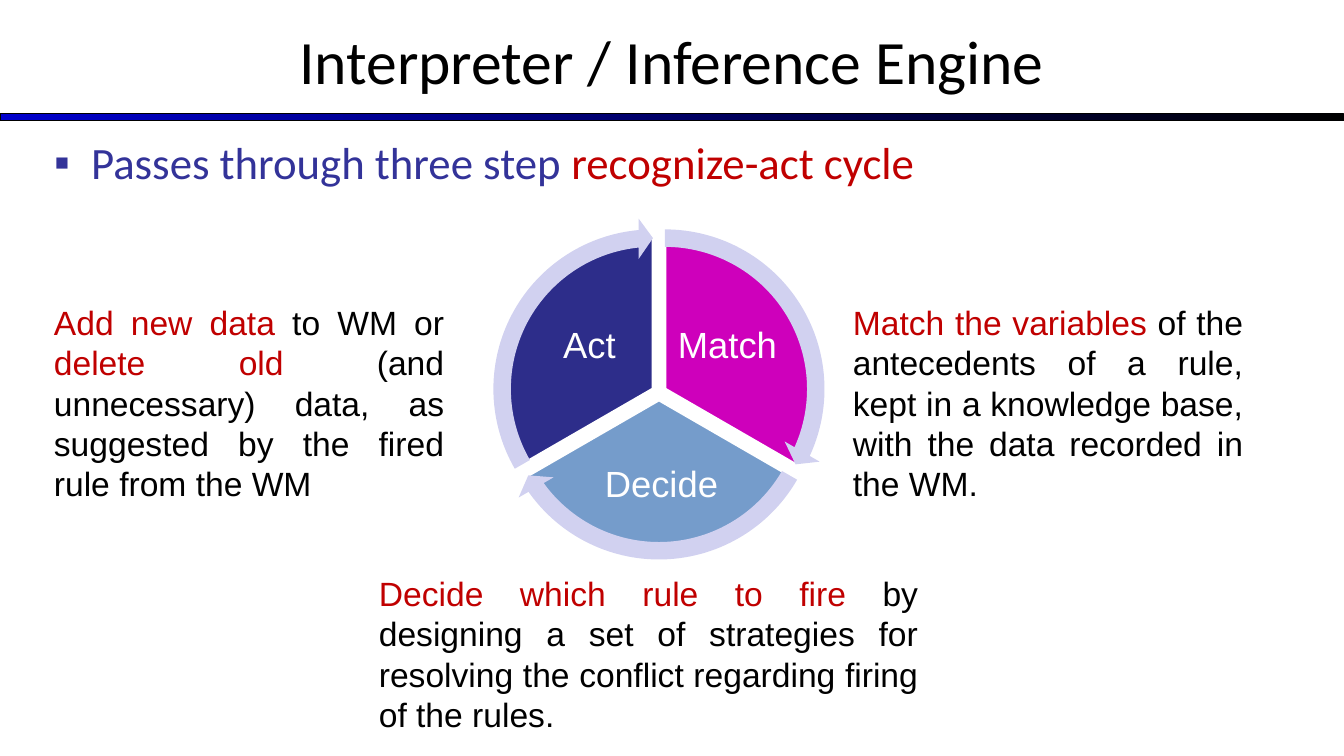
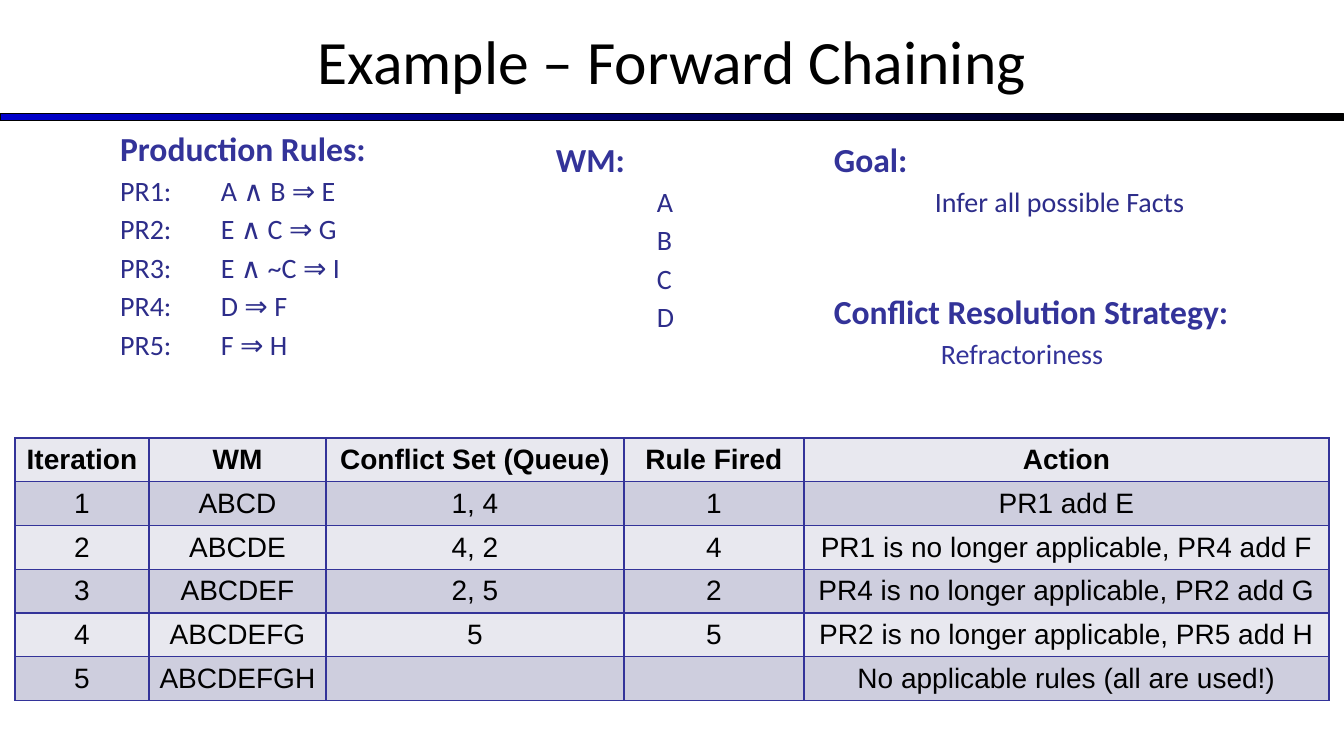
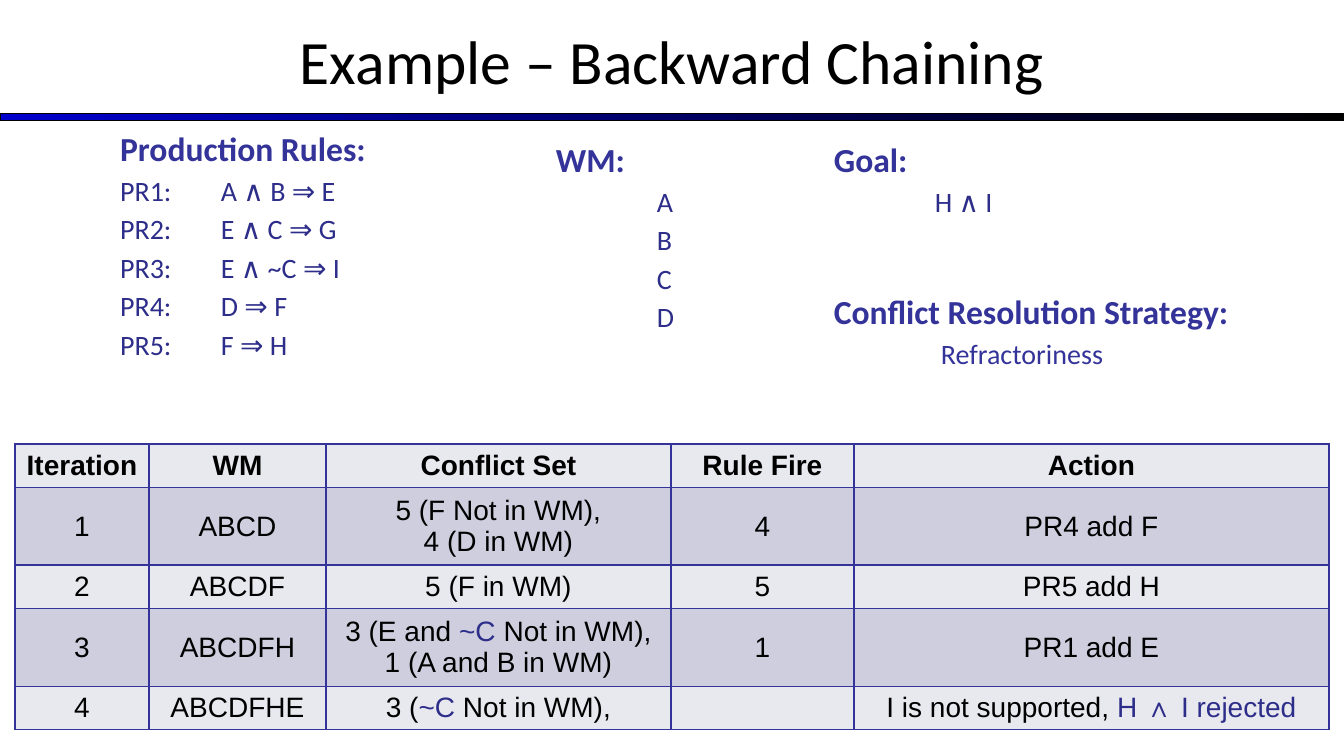
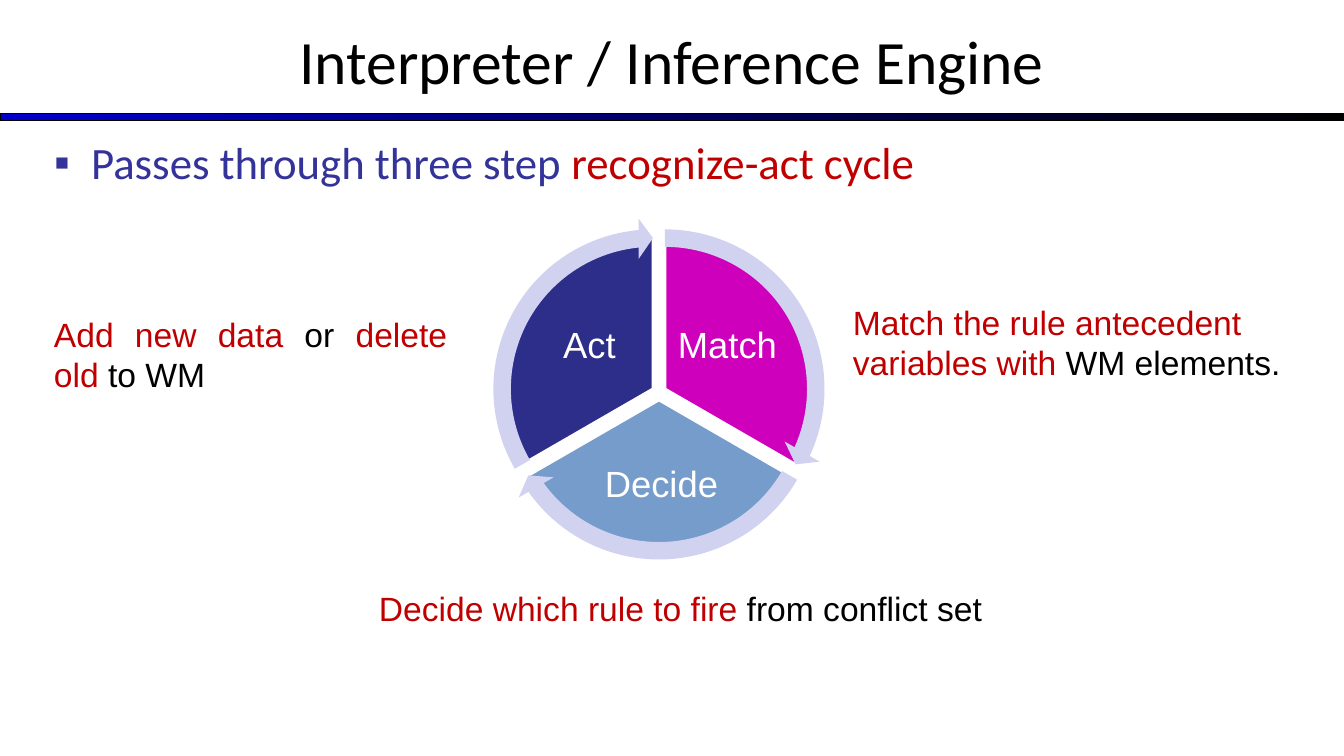
"""Build four slides on inference engines and rule chaining."""
import lxml.etree
import pptx
import pptx.dml.color
import pptx.enum.shapes
import pptx.enum.text
import pptx.oxml.ns
import pptx.util

SCALE = 914400 / 100.8
ALIGN = pptx.enum.text.PP_ALIGN
ANCHOR = pptx.enum.text.MSO_ANCHOR
SHAPE = pptx.enum.shapes.MSO_SHAPE
COLOURS = {
    "black": "000000",
    "white": "FFFFFF",
    "band": "0000CC",
    "indigo": "333399",
    "navy": "2D2D8A",
    "red": "C00000",
    "magenta": "CE00BB",
    "sky": "759CCB",
    "arrow": "D1D1F0",
    "row_light": "E8E8EF",
    "row_dark": "CECEDE",
}
STYLES = {
    "title": {"name": "Calibri", "size": 44, "bold": False, "colour": "black"},
    "bullet": {"name": "Calibri", "size": 32, "bold": False, "colour": "indigo", "accent": "red"},
    "heading": {"name": "Calibri", "size": 24, "bold": True, "colour": "indigo"},
    "item": {"name": "Calibri", "size": 20, "bold": False, "colour": "navy"},
    "strategy": {"name": "Calibri", "size": 20, "bold": False, "colour": "indigo"},
    "caption": {"name": "Arial", "size": 24, "bold": False, "colour": "black", "accent": "red"},
    "slice": {"name": "Arial", "size": 26, "bold": False, "colour": "white"},
    "header": {"name": "Arial", "size": 20, "bold": True, "colour": "black"},
    "cell": {"name": "Arial", "size": 20, "bold": False, "colour": "black", "accent": "navy"},
}
ENGINE_TITLE = "Interpreter / Inference Engine"
CYCLE_BOX = (482, 218, 354, 353)
RULES = ["A ∧ B ⇒ E", "E ∧ C ⇒ G", "E ∧ ~C ⇒ I", "D ⇒ F", "F ⇒ H"]
LEFT_CAPTIONS = [
    ((843, 297, 410, 214), ALIGN.JUSTIFY,
     "*Match the variables *of the antecedents of a rule, kept in a knowledge base, "
     "with the data recorded in the WM."),
    ((369, 568, 559, 173), ALIGN.JUSTIFY,
     "*Decide which rule to fire *by designing a set of strategies for resolving "
     "the conflict regarding firing of the rules."),
    ((44, 297, 410, 214), ALIGN.JUSTIFY,
     "*Add new data *to WM or *delete old *(and unnecessary) data, as suggested "
     "by the fired rule from the WM"),
]
SHORT_CAPTIONS = [
    ((843, 297, 472, 92), ALIGN.LEFT,
     "*Match the rule antecedent variables with *WM elements."),
    ((369, 583, 634, 50), ALIGN.JUSTIFY,
     "*Decide which rule to fire *from conflict set"),
    ((44, 309, 413, 92), ALIGN.JUSTIFY,
     "*Add new data *or *delete old *to WM"),
]
FORWARD_ROWS = [
    ["Iteration", "WM", "Conflict Set (Queue)", "Rule Fired", "Action"],
    ["1", "ABCD", "1, 4", "1", "PR1 add E"],
    ["2", "ABCDE", "4, 2", "4", "PR1 is no longer applicable, PR4 add F"],
    ["3", "ABCDEF", "2, 5", "2", "PR4 is no longer applicable, PR2 add G"],
    ["4", "ABCDEFG", "5", "5", "PR2 is no longer applicable, PR5 add H"],
    ["5", "ABCDEFGH", "", "", "No applicable rules (all are used!)"],
]
BACKWARD_ROWS = [
    ["Iteration", "WM", "Conflict Set", "Rule Fire", "Action"],
    ["1", "ABCD", "5 (F Not in WM),\n4 (D in WM)", "4", "PR4 add F"],
    ["2", "ABCDF", "5 (F in WM)", "5", "PR5 add H"],
    ["3", "ABCDFH", "3 (E and *~C* Not in WM),\n1 (A and B in WM)", "1", "PR1 add E"],
    ["4", "ABCDFHE", "3 (*~C* Not in WM),", "", "I is not supported, *H ∧ I rejected*"],
]


def px(length):
    """Turn px into EMU."""
    return pptx.util.Emu(round(length * SCALE))


def place(box):
    """Turn a px box into EMU lengths."""
    return [px(length) for length in box]


def rgb(name):
    """Look up a named colour."""
    return pptx.dml.color.RGBColor.from_string(COLOURS[name])


def apply(target, formats):
    """Set each format value as an attribute of the target."""
    for name, value in formats.items():
        setattr(target, name, value)


def add_element(parent, tag, **attributes):
    """Append a DrawingML child element."""
    return lxml.etree.SubElement(parent, pptx.oxml.ns.qn(tag), attributes)


def write_paragraph(paragraph, markup, style_name, **formats):
    """Write runs, giving the accent colour to pieces between asterisks."""
    style = STYLES[style_name]
    apply(paragraph, formats)
    for index, piece in enumerate(markup.split("*")):
        if piece:
            run = paragraph.add_run()
            run.text = piece
            apply(run.font, {"name": style["name"], "size": pptx.util.Pt(style["size"]),
                             "bold": style["bold"]})
            run.font.color.rgb = rgb(style["accent" if index % 2 else "colour"])


def indent(paragraph, left, first=0):
    """Set the left and first line indents and return the paragraph properties."""
    properties = paragraph._p.get_or_add_pPr()
    properties.set("marL", str(px(left)))
    properties.set("indent", str(px(first)))
    return properties


def move(shape, box):
    """Place an existing shape in the box."""
    apply(shape, dict(zip(("left", "top", "width", "height"), place(box))))


def add_text_box(shapes, box, **formats):
    """Add a wrapping text box and return its frame."""
    frame = shapes.add_textbox(*place(box)).text_frame
    apply(frame, {"word_wrap": True, **formats})
    return frame


def add_titled_slide(presentation, title):
    """Add a slide with a styled title."""
    slide = presentation.slides.add_slide(presentation.slide_layouts[1])
    move(slide.shapes.title, (0, -3, 1344, 126))
    frame = slide.shapes.title.text_frame
    apply(frame, {"vertical_anchor": ANCHOR.MIDDLE,
                  "auto_size": pptx.enum.text.MSO_AUTO_SIZE.NONE})
    write_paragraph(frame.paragraphs[0], title, "title", alignment=ALIGN.CENTER)
    return slide


def add_layout_band(slide):
    """Put the gradient band under the title on the slide's layout."""
    band = slide.shapes.add_shape(SHAPE.RECTANGLE, *place((0, 114, 1344, 7)))
    band.shadow.inherit = False
    band.fill.gradient()
    band.fill.gradient_angle = 0
    for stop, name in zip(band.fill.gradient_stops, ("band", "black")):
        stop.color.rgb = rgb(name)
    band.line.color.rgb = rgb("black")
    band.line.width = pptx.util.Pt(0.75)
    slide.slide_layout.shapes.element.insert(2, band.element)


def body_frame(slide, box):
    """Move the body placeholder to the box and return its frame."""
    body = slide.placeholders[1]
    move(body, box)
    body.text_frame.auto_size = pptx.enum.text.MSO_AUTO_SIZE.NONE
    return body.text_frame


def write_bullet(frame, markup):
    """Write one paragraph with a square bullet."""
    paragraph = frame.paragraphs[0]
    properties = indent(paragraph, 37, -37)
    colour = add_element(properties, "a:buClr")
    add_element(colour, "a:srgbClr", val=COLOURS["indigo"])
    add_element(properties, "a:buFont", typeface="Arial")
    add_element(properties, "a:buChar", char="▪")
    write_paragraph(paragraph, markup, "bullet", space_before=0)


def write_list(frame, heading, items, left=0, tab=None, style_name="item"):
    """Write a bold heading and its items, indented or with a tab stop."""
    first = frame.paragraphs[0]
    add_element(indent(first, 0), "a:buNone")
    write_paragraph(first, heading, "heading", space_before=0)
    for item in items:
        paragraph = frame.add_paragraph()
        properties = indent(paragraph, left)
        add_element(properties, "a:buNone")
        if tab:
            tabs = add_element(properties, "a:tabLst")
            add_element(tabs, "a:tab", pos=str(px(tab)), algn="l")
        write_paragraph(paragraph, item, style_name, space_before=pptx.util.Pt(3.5))


def add_cycle_part(shapes, kind, box, adjustments, colour):
    """Add one slice or arrow of the cycle."""
    part = shapes.add_shape(kind, *place(box))
    part.shadow.inherit = False
    for index, value in enumerate(adjustments):
        part.adjustments[index] = value
    part.fill.solid()
    part.fill.fore_color.rgb = rgb(colour)
    return part


def add_cycle(slide, box):
    """Add three labelled slices with an arrow around each."""
    left, top, width, height = box
    ring = width - 12
    margin = 19
    pie = ring - 2 * margin
    steps = [
        ("Match", "magenta", (12, 0), (162, 18), (14.725, 161.994), (191, 83, 109, 91)),
        ("Decide", "sky", (6, 11), (18, 90), (86.72, 18.005), (98, 228, 163, 80)),
        ("Act", "navy", (0, 0), (90, 162), (158.73, 90), (53, 83, 109, 91)),
    ]
    shapes = slide.shapes.add_group_shape().shapes
    for label, colour, (x, y), angles, _, (label_x, label_y, *label_size) in steps:
        part = add_cycle_part(shapes, SHAPE.PIE,
                              (left + x + margin, top + y + margin, pie, pie), angles, colour)
        part.line.color.rgb = rgb("white")
        part.line.width = pptx.util.Pt(2)
        insets = {"margin_" + side: px(4) for side in ("left", "top", "right", "bottom")}
        frame = add_text_box(shapes, (left + label_x, top + label_y, *label_size),
                             vertical_anchor=ANCHOR.MIDDLE, **insets)
        write_paragraph(frame.paragraphs[0], label, "slice",
                        alignment=ALIGN.CENTER, line_spacing=0.9)
    for _, _, (x, y), _, (head, tail), _ in steps:
        arrow = add_cycle_part(shapes, SHAPE.CIRCULAR_ARROW, (left + x, top + y, ring, ring),
                               (0.051, 3.275, head, tail, 0.059), "arrow")
        arrow.line.fill.background()


def add_engine_slide(presentation, captions):
    """Add the recognize-act cycle slide with its captions."""
    slide = add_titled_slide(presentation, ENGINE_TITLE)
    write_bullet(body_frame(slide, (44, 130, 1254, 548)),
                 "Passes through three step *recognize-act cycle*")
    add_cycle(slide, CYCLE_BOX)
    for box, alignment, markup in captions:
        frame = add_text_box(slide.shapes, box,
                             auto_size=pptx.enum.text.MSO_AUTO_SIZE.SHAPE_TO_FIT_TEXT)
        write_paragraph(frame.paragraphs[0], markup, "caption", alignment=alignment)
    return slide


def format_cell(cell, text, style_name, colour):
    """Give a cell its borders, fill and centred text."""
    properties = cell._tc.get_or_add_tcPr()
    for side in ("L", "R", "T", "B"):
        border = add_element(properties, "a:ln" + side, w=str(pptx.util.Pt(1)))
        fill = add_element(border, "a:solidFill")
        add_element(fill, "a:srgbClr", val=COLOURS["indigo"])
    cell.fill.solid()
    cell.fill.fore_color.rgb = rgb(colour)
    cell.vertical_anchor = ANCHOR.MIDDLE
    frame = cell.text_frame
    for index, line in enumerate(text.split("\n")):
        paragraph = frame.add_paragraph() if index else frame.paragraphs[0]
        write_paragraph(paragraph, line, style_name, alignment=ALIGN.CENTER)


def add_trace_table(slide, left, top, widths, rows):
    """Add the iteration table with alternating row fills."""
    heights = [41 + 31 * max(text.count("\n") for text in row) for row in rows]
    box = (left, top, sum(widths), sum(heights))
    table = slide.shapes.add_table(len(rows), len(widths), *place(box)).table
    apply(table, {"first_row": False, "horz_banding": False})
    for column, width in zip(table.columns, widths):
        column.width = px(width)
    for index, (row, height) in enumerate(zip(rows, heights)):
        table.rows[index].height = px(height)
        for cell, text in zip(table.rows[index].cells, row):
            format_cell(cell, text, "cell" if index else "header",
                        "row_dark" if index % 2 else "row_light")


def add_chaining_slide(presentation, direction, goal, top, widths, rows):
    """Add a worked example with rules, memory, goal, strategy and trace."""
    slide = add_titled_slide(presentation, f"Example – {direction} Chaining")
    rules = [f"PR{number}:\t{rule}" for number, rule in enumerate(RULES, 1)]
    write_list(body_frame(slide, (110, 123, 384, 262)), "Production Rules:", rules, tab=107)
    write_list(add_text_box(slide.shapes, (546, 134, 224, 233)), "WM:", "ABCD", left=101)
    write_list(add_text_box(slide.shapes, (824, 134, 485, 126)), "Goal:", [goal], left=101)
    add_trace_table(slide, 15, top, widths, rows)
    write_list(add_text_box(slide.shapes, (824, 286, 476, 126)), "Conflict Resolution Strategy:",
               ["Refractoriness"], left=107, style_name="strategy")


def main():
    """Build and save the presentation."""
    presentation = pptx.Presentation()
    apply(presentation, {"slide_width": px(1344), "slide_height": px(756)})
    add_layout_band(add_engine_slide(presentation, LEFT_CAPTIONS))
    add_chaining_slide(presentation, "Forward", "Infer all possible Facts", 438,
                       (134, 177, 298, 180, 525), FORWARD_ROWS)
    add_chaining_slide(presentation, "Backward", "H ∧ I", 444,
                       (134, 177, 345, 183, 475), BACKWARD_ROWS)
    add_engine_slide(presentation, SHORT_CAPTIONS)
    presentation.save("out.pptx")


if __name__ == "__main__":
    main()
